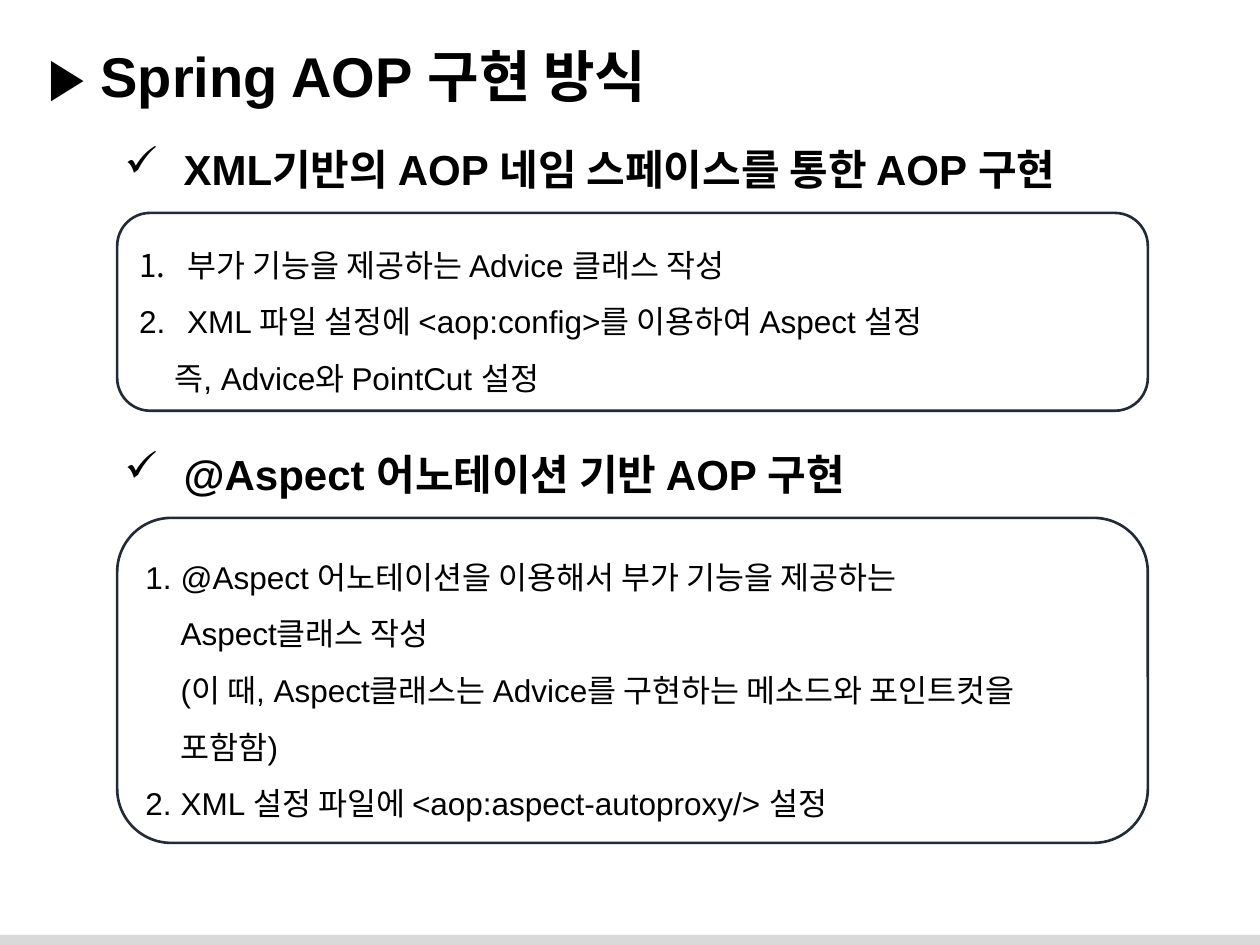
from dataclasses import dataclass

from lxml.etree import SubElement
from pptx import Presentation
from pptx.dml.color import RGBColor
from pptx.enum.shapes import MSO_SHAPE as Shape
from pptx.enum.text import MSO_ANCHOR as Anchor, PP_ALIGN as Align
from pptx.oxml.ns import qn
from pptx.util import Inches, Pt


@dataclass(frozen=True)
class Theme:
    font: str = "Arial"
    ink: RGBColor = RGBColor(0, 0, 0)
    outline: RGBColor = RGBColor(0x22, 0x2A, 0x35)
    footer: RGBColor = RGBColor(0xD9, 0xD9, 0xD9)
    title_size: int = 32
    heading_size: int = 24
    body_size: int = 18
    heading_indent: float = 0.47


@dataclass(frozen=True)
class Line:
    text: str
    number: int = 0
    indent: float = 0.28


@dataclass(frozen=True)
class Section:
    heading: str
    top: float
    panel_height: float
    lines: tuple[Line, ...]


THEME = Theme()
WIDTH, HEIGHT = 10, 7.5
HEADING_LEFT, HEADING_WIDTH, HEADING_HEIGHT = 0.89, 8.24, 0.5
PANEL_LEFT, PANEL_WIDTH, PANEL_OFFSET = 0.93, 8.18, 0.6
FOOTER_HEIGHT = 0.08

SECTIONS = (
    Section("XML기반의 AOP 네임 스페이스를 통한 AOP 구현", 1.09, 1.57, (
        Line("부가 기능을 제공하는 Advice 클래스 작성", 1, 0.38),
        Line("XML 파일 설정에 <aop:config>를 이용하여 Aspect 설정", 2, 0.38),
        Line("즉, Advice와 PointCut 설정"),
    )),
    Section("@Aspect 어노테이션 기반 AOP 구현", 3.51, 2.58, (
        Line("@Aspect 어노테이션을 이용해서 부가 기능을 제공하는", 1),
        Line("Aspect클래스 작성"),
        Line("(이 때, Aspect클래스는 Advice를 구현하는 메소드와 포인트컷을"),
        Line("포함함)"),
        Line("XML 설정 파일에 <aop:aspect-autoproxy/> 설정", 2),
    )),
)


def write(para, text: str, *, size: int, bold: bool = False,
          spacing: float = 1.0) -> None:
    para.alignment = Align.LEFT
    para.line_spacing = spacing
    span = para.add_run()
    span.text = text
    span.font.name = THEME.font
    span.font.size = Pt(size)
    span.font.bold = bold
    span.font.color.rgb = THEME.ink


def set_indent(para, indent: float, hanging: bool) -> None:
    props = para._p.get_or_add_pPr()
    props.set("marL", str(Inches(indent)))
    props.set("indent", str(-Inches(indent) if hanging else 0))


def add_check(para) -> None:
    SubElement(para._p.get_or_add_pPr(), qn("a:buChar"), char="✓")


def add_number(para, start: int) -> None:
    number = SubElement(para._p.get_or_add_pPr(), qn("a:buAutoNum"),
                        type="arabicPeriod")
    if start > 1:
        number.set("startAt", str(start))


def add_title(page, text: str) -> None:
    title = page.shapes.title
    title.left, title.top = Inches(0.28), Inches(0.28)
    title.width, title.height = Inches(9.45), Inches(0.64)
    title.text_frame.vertical_anchor = Anchor.TOP
    write(title.text_frame.paragraphs[0], text,
          size=THEME.title_size, bold=True)


def add_footer(page) -> None:
    bar = page.shapes.add_shape(
        Shape.RECTANGLE, 0, Inches(HEIGHT - FOOTER_HEIGHT),
        Inches(WIDTH), Inches(FOOTER_HEIGHT))
    bar.shadow.inherit = False
    bar.fill.solid()
    bar.fill.fore_color.rgb = THEME.footer
    bar.line.fill.background()


def add_heading(page, section: Section) -> None:
    box = page.shapes.add_textbox(
        Inches(HEADING_LEFT), Inches(section.top),
        Inches(HEADING_WIDTH), Inches(HEADING_HEIGHT))
    para = box.text_frame.paragraphs[0]
    write(para, section.heading, size=THEME.heading_size, bold=True)
    set_indent(para, THEME.heading_indent, hanging=True)
    add_check(para)


def add_panel(page, section: Section) -> None:
    panel = page.shapes.add_shape(
        Shape.ROUNDED_RECTANGLE, Inches(PANEL_LEFT),
        Inches(section.top + PANEL_OFFSET),
        Inches(PANEL_WIDTH), Inches(section.panel_height))
    panel.shadow.inherit = False
    panel.fill.background()
    panel.line.color.rgb = THEME.outline
    panel.line.width = Pt(1.5)
    frame = panel.text_frame
    frame.word_wrap = True
    frame.vertical_anchor = Anchor.MIDDLE
    frame.margin_left = frame.margin_right = Inches(0.1)
    frame.margin_top = frame.margin_bottom = Inches(0.1)
    previous = 0
    for index, line in enumerate(section.lines):
        para = frame.add_paragraph() if index else frame.paragraphs[0]
        write(para, line.text, size=THEME.body_size, spacing=1.5)
        set_indent(para, line.indent, hanging=line.number > 0)
        if line.number:
            add_number(para, 1 if previous else line.number)
        previous = line.number


deck = Presentation()
deck.slide_width, deck.slide_height = Inches(WIDTH), Inches(HEIGHT)
page = deck.slides.add_slide(deck.slide_layouts[5])
add_footer(page)
add_title(page, "▶ Spring AOP 구현 방식")
for section in SECTIONS:
    add_heading(page, section)
    add_panel(page, section)
deck.save("out.pptx")
